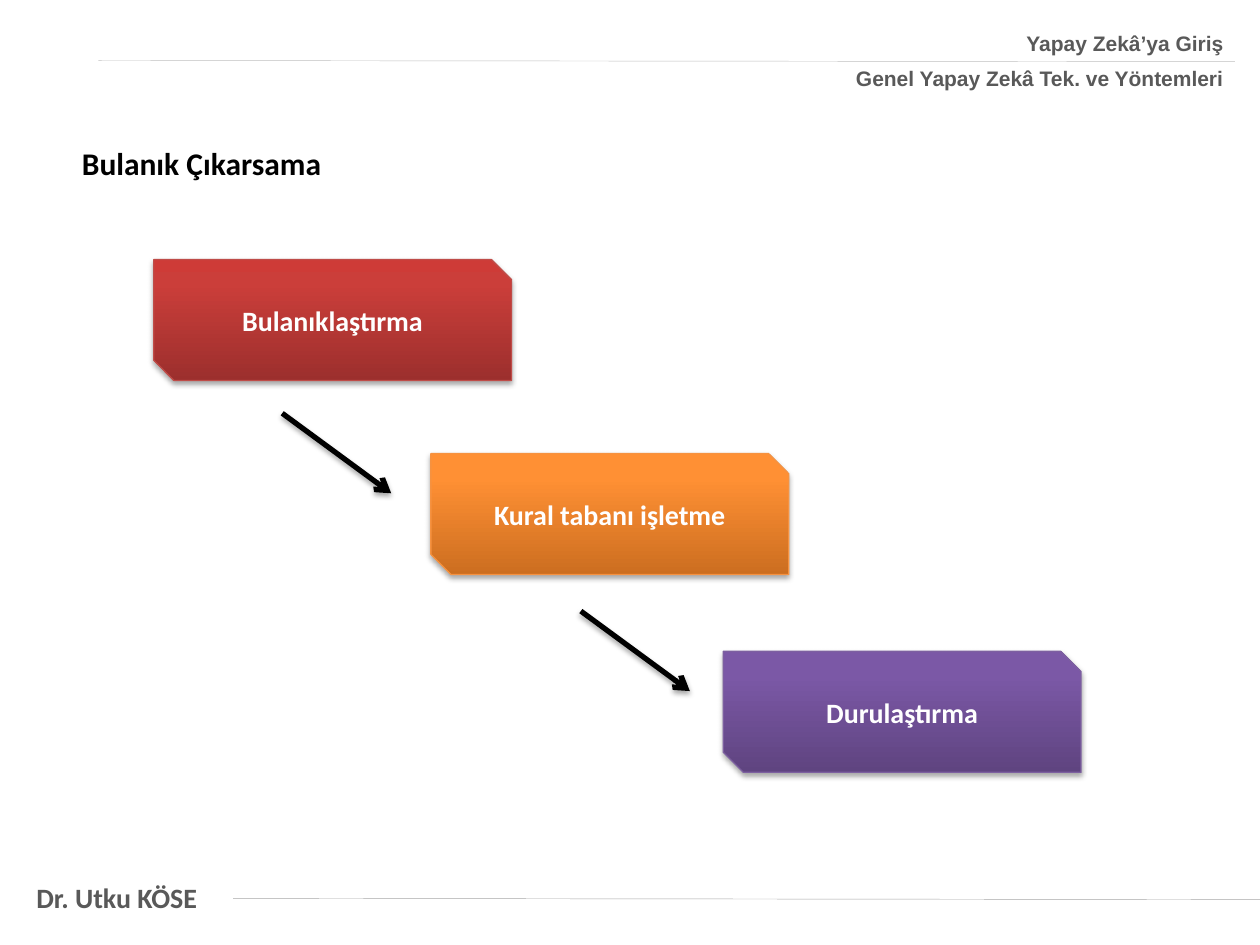
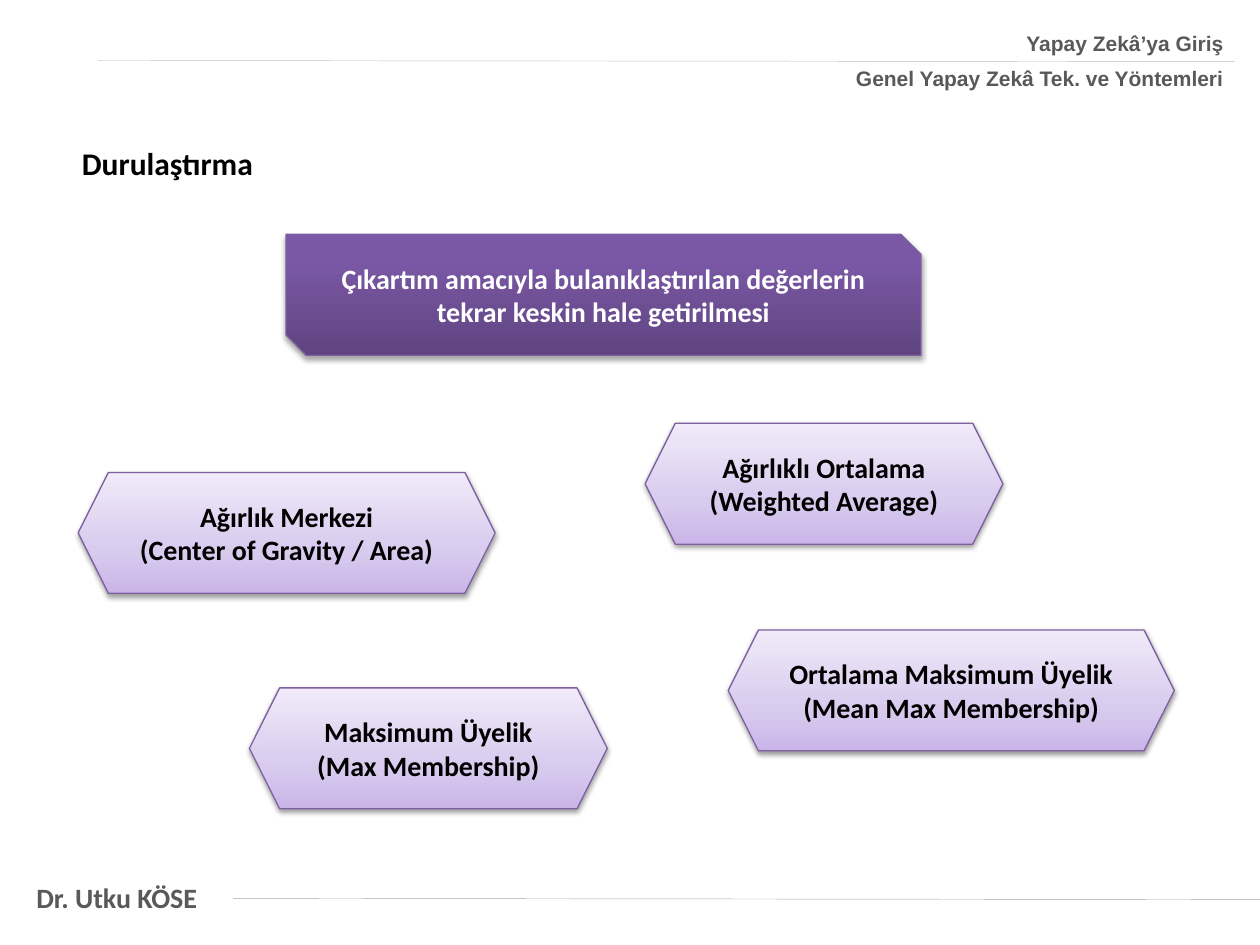
from copy import deepcopy

from lxml.etree import SubElement
from pptx import Presentation
from pptx.dml.color import RGBColor
from pptx.enum.shapes import MSO_CONNECTOR, MSO_SHAPE
from pptx.enum.text import MSO_ANCHOR, MSO_AUTO_SIZE, PP_ALIGN
from pptx.oxml.ns import qn
from pptx.util import Emu, Pt

COLUMNS, ROWS = 100, 75
CELL = 91440

BLACK = RGBColor(0x00, 0x00, 0x00)
WHITE = RGBColor(0xFF, 0xFF, 0xFF)
GREY_TEXT = RGBColor(0x59, 0x59, 0x59)
FOOTER_LINE = RGBColor(0xA6, 0xA6, 0xA6)
HEADER_LINE = RGBColor(0xBF, 0xBF, 0xBF)
RED_EDGE = RGBColor(0xBF, 0x4C, 0x48)
ORANGE_EDGE = RGBColor(0xF6, 0x92, 0x40)
PURPLE_EDGE = RGBColor(0x7D, 0x60, 0xA0)
RED = (RGBColor(0x9C, 0x2F, 0x2D), RGBColor(0xCB, 0x3E, 0x3A), RGBColor(0xCE, 0x3B, 0x37))
ORANGE = (RGBColor(0xCC, 0x6E, 0x20), RGBColor(0xFF, 0x90, 0x34), RGBColor(0xFF, 0x91, 0x36))
PURPLE = (RGBColor(0x5F, 0x44, 0x80), RGBColor(0x7B, 0x58, 0xA6), RGBColor(0x7C, 0x57, 0xA8))
LILAC = (RGBColor(0xC9, 0xB5, 0xE8), RGBColor(0xD8, 0xCB, 0xEE), RGBColor(0xF0, 0xEA, 0xF9))

TITLE_FONT = {"name": "Calibri", "size": Pt(18), "bold": True}
BODY_FONT = {"name": "Calibri", "size": Pt(16), "bold": True}
HEADER_FONT = {"name": "Arial", "size": Pt(12), "bold": True}

BOX_HEIGHT = 9.6
STEP_WIDTH = 28.4


def cells(*counts):
    """Turn counts of grid cells into lengths."""
    return [Emu(round(n * CELL)) for n in counts]


def write(tf, lines, font, color, align=PP_ALIGN.LEFT, space_after=0):
    for i, line in enumerate(lines):
        p = tf.paragraphs[0] if i == 0 else tf.add_paragraph()
        p.alignment = align
        p.space_after = Pt(space_after)
        r = p.add_run()
        r.text = line
        for key, value in font.items():
            setattr(r.font, key, value)
        r.font.color.rgb = color


def add_text(s, at, lines, font, color, wrap=True, **paragraph):
    tf = s.shapes.add_textbox(*cells(*at)).text_frame
    tf.word_wrap = wrap
    tf.auto_size = MSO_AUTO_SIZE.SHAPE_TO_FIT_TEXT
    write(tf, lines, font, color, **paragraph)


def set_shadow(sp_pr, alpha, distance):
    """Fill the effect list with a soft black shadow falling straight down."""
    effects = sp_pr.find(qn("a:effectLst"))
    shadow = SubElement(effects, qn("a:outerShdw"), blurRad=str(Pt(3.1)),
                        dist=str(Pt(distance)), dir="5400000", rotWithShape="0")
    color = SubElement(shadow, qn("a:srgbClr"), val=str(BLACK))
    SubElement(color, qn("a:alpha"), val=str(alpha * 1000))


def add_line(s, start, end, color, width):
    line = s.shapes.add_connector(MSO_CONNECTOR.STRAIGHT, *cells(*start, *end))
    line.line.color.rgb = color
    line.line.width = Pt(width)
    SubElement(line._element.spPr, qn("a:effectLst"))
    return line


def add_arrow(s, start, end):
    sp_pr = add_line(s, start, end, BLACK, 3)._element.spPr
    SubElement(sp_pr.find(qn("a:ln")), qn("a:tailEnd"), type="arrow")
    set_shadow(sp_pr, 35, 1.8)


def add_gradient(sp, colors, middle):
    sp.fill.gradient()
    sp.fill.gradient_angle = 90
    stop_list = sp._element.spPr.find(".//" + qn("a:gsLst"))
    stop_list.append(deepcopy(stop_list[-1]))
    for stop, color, position in zip(sp.fill.gradient_stops, colors, (0, middle, 1)):
        stop.color.rgb = color
        stop.position = position


def add_box(s, kind, at, lines, colors, middle, edge, text_color, shadow):
    left, top, width = at
    sp = s.shapes.add_shape(kind, *cells(left, top, width, BOX_HEIGHT))
    add_gradient(sp, colors, middle)
    sp.line.color.rgb = edge
    sp.line.width = Pt(0.75)
    sp.shadow.inherit = False
    set_shadow(sp._element.spPr, *shadow)
    tf = sp.text_frame
    tf.word_wrap = True
    tf.vertical_anchor = MSO_ANCHOR.MIDDLE
    write(tf, lines, BODY_FONT, text_color, PP_ALIGN.CENTER)


def add_step(s, at, text, colors, edge):
    add_box(s, MSO_SHAPE.SNIP_2_DIAG_RECTANGLE, at, [text], colors, 0.8, edge, WHITE, (35, 1.8))


def add_method(s, at, lines):
    add_box(s, MSO_SHAPE.HEXAGON, at, lines, LILAC, 0.35, PURPLE_EDGE, BLACK, (38, 1.6))


def add_titled_slide(prs, title):
    """Add a slide with the shared header, footer and title."""
    s = prs.slides.add_slide(prs.slide_layouts[5])
    add_text(s, (1.9, 69.4, 15, 3.7), ["Dr. Utku KÖSE"], BODY_FONT, GREY_TEXT, wrap=False)
    add_line(s, (18.5, 71.3), (COLUMNS, 71.4), FOOTER_LINE, 0.25)
    add_line(s, (7.8, 4.8), (98, 4.9), HEADER_LINE, 0.25)
    add_text(s, (57.1, 1.9, 41, 5.9),
             ["Yapay Zekâ’ya Giriş", "Genel Yapay Zekâ Tek. ve Yöntemleri"],
             HEADER_FONT, GREY_TEXT, align=PP_ALIGN.RIGHT, space_after=6)
    sp = s.shapes.title
    sp.left, sp.top, sp.width, sp.height = cells(5.5, 10.9, 46.5, 4)
    tf = sp.text_frame
    tf.vertical_anchor = MSO_ANCHOR.TOP
    tf.auto_size = MSO_AUTO_SIZE.NONE
    write(tf, [title], TITLE_FONT, BLACK)
    return s


def build_inference_slide(prs):
    s = add_titled_slide(prs, "Bulanık Çıkarsama")
    for left, top, text, colors, edge in (
        (12.2, 20.6, "Bulanıklaştırma", RED, RED_EDGE),
        (34.2, 36, "Kural tabanı işletme", ORANGE, ORANGE_EDGE),
        (57.4, 51.7, "Durulaştırma", PURPLE, PURPLE_EDGE),
    ):
        add_step(s, (left, top, STEP_WIDTH), text, colors, edge)
    for left, top in ((22.4, 32.8), (46.1, 48.5)):
        add_arrow(s, (left, top), (left + 8.65, top + 6.35))


def build_defuzzification_slide(prs):
    s = add_titled_slide(prs, "Durulaştırma")
    add_step(s, (22.7, 18.6, 50.4),
             "Çıkartım amacıyla bulanıklaştırılan değerlerin tekrar keskin hale getirilmesi",
             PURPLE, PURPLE_EDGE)
    for at, lines in (
        ((19.8, 54.6, STEP_WIDTH), ("Maksimum Üyelik", "(Max Membership)")),
        ((6.2, 37.5, 33.1), ("Ağırlık Merkezi", "(Center of Gravity / Area)")),
        ((51.2, 33.6, STEP_WIDTH), ("Ağırlıklı Ortalama", "(Weighted Average)")),
        ((57.8, 50, 35.4), ("Ortalama Maksimum Üyelik", "(Mean Max Membership)")),
    ):
        add_method(s, at, lines)


def main():
    prs = Presentation()
    prs.slide_width, prs.slide_height = cells(COLUMNS, ROWS)
    build_inference_slide(prs)
    build_defuzzification_slide(prs)
    prs.save("out.pptx")


if __name__ == "__main__":
    main()
